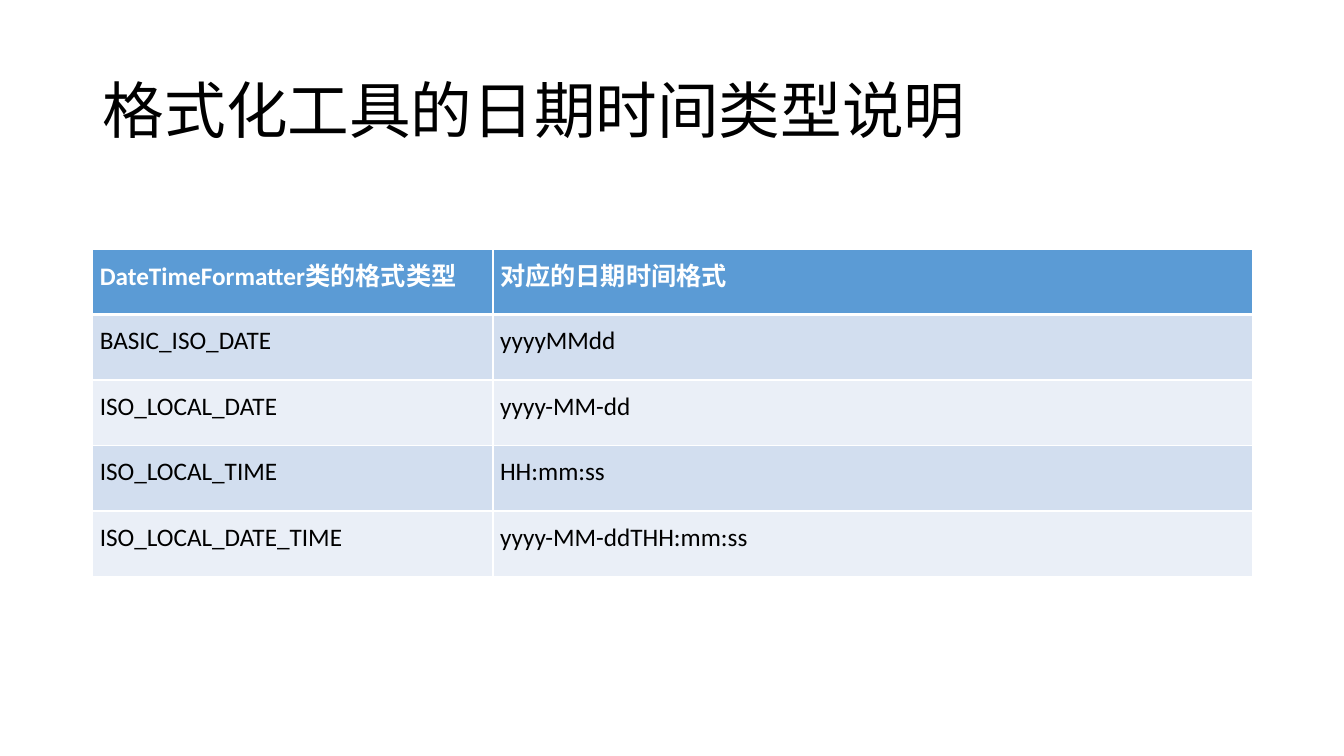
from lxml import etree
from pptx import Presentation
from pptx.dml.color import RGBColor
from pptx.enum.text import MSO_ANCHOR, PP_ALIGN
from pptx.oxml.ns import qn
from pptx.util import Inches, Pt

MIDDLE = MSO_ANCHOR.MIDDLE
LEFT, JUSTIFY = PP_ALIGN.LEFT, PP_ALIGN.JUSTIFY
FONT = "Calibri"
COLORS = {
    "text": "000000",
    "white": "FFFFFF",
    "header": "5B9BD5",
    "odd": "D2DEEF",
    "even": "EAEFF7",
}
SLIDE_WIDTH, SLIDE_HEIGHT = 13.33, 7.5
MARGIN, CONTENT_WIDTH = 0.92, 11.5
TABLE_TOP, ROW_HEIGHT = 2.47, 0.65
COLUMN_WIDTHS = (3.97, 7.53)
TITLE = "格式化工具的日期时间类型说明"
ROWS = (
    ("DateTimeFormatter类的格式类型", "对应的日期时间格式"),
    ("BASIC_ISO_DATE", "yyyyMMdd"),
    ("ISO_LOCAL_DATE", "yyyy-MM-dd"),
    ("ISO_LOCAL_TIME", "HH:mm:ss"),
    ("ISO_LOCAL_DATE_TIME", "yyyy-MM-ddTHH:mm:ss"),
)


def format_paragraph(paragraph, size, color, alignment, line_spacing, bold=False):
    """Set the font, alignment and line spacing of a paragraph."""
    paragraph.alignment = alignment
    paragraph.line_spacing = line_spacing
    paragraph.font.name = FONT
    paragraph.font.size = Pt(size)
    paragraph.font.bold = bold
    paragraph.font.color.rgb = RGBColor.from_string(COLORS[color])


def add_title(slide, text):
    """Fill and place the title placeholder."""
    title = slide.shapes.title
    title.left, title.top = Inches(MARGIN), Inches(0.4)
    title.width, title.height = Inches(CONTENT_WIDTH), Inches(1.45)
    title.text_frame.text = text
    title.text_frame.vertical_anchor = MIDDLE
    format_paragraph(title.text_frame.paragraphs[0], 44, "text", LEFT, 0.9)


def set_borders(cell, top, bottom):
    """Draw white cell borders with the given top and bottom widths in points."""
    properties = cell._tc.get_or_add_tcPr()
    for side, width in (("L", 1), ("R", 1), ("T", top), ("B", bottom)):
        line = etree.SubElement(properties, qn(f"a:ln{side}"), w=str(Pt(width)))
        fill = etree.SubElement(line, qn("a:solidFill"))
        etree.SubElement(fill, qn("a:srgbClr"), val=COLORS["white"])


def format_cell(cell, text, row_index):
    """Write a cell and style it as a header or a banded body cell."""
    is_header = row_index == 0
    cell.text = text
    cell.vertical_anchor = MIDDLE
    cell.margin_left = cell.margin_right = Inches(0.07)
    cell.margin_top = cell.margin_bottom = 0
    set_borders(cell, 3 if row_index == 1 else 1, 3 if is_header else 1)
    band = "header" if is_header else ("even", "odd")[row_index % 2]
    cell.fill.solid()
    cell.fill.fore_color.rgb = RGBColor.from_string(COLORS[band])
    paragraph = cell.text_frame.paragraphs[0]
    if is_header:
        format_paragraph(paragraph, 18, "white", JUSTIFY, Pt(15.6), bold=True)
    else:
        format_paragraph(paragraph, 18, "text", LEFT, Pt(13))


def add_format_table(slide, rows):
    """Add the table of format types and their patterns."""
    table = slide.shapes.add_table(
        len(rows), len(COLUMN_WIDTHS), Inches(MARGIN), Inches(TABLE_TOP),
        Inches(CONTENT_WIDTH), Inches(ROW_HEIGHT * len(rows)),
    ).table
    for column, width in zip(table.columns, COLUMN_WIDTHS):
        column.width = Inches(width)
    for row_index, texts in enumerate(rows):
        for column_index, text in enumerate(texts):
            format_cell(table.cell(row_index, column_index), text, row_index)


def main():
    """Build the slide and save it."""
    presentation = Presentation()
    presentation.slide_width = Inches(SLIDE_WIDTH)
    presentation.slide_height = Inches(SLIDE_HEIGHT)
    title_only = presentation.slide_layouts[5]
    slide = presentation.slides.add_slide(title_only)
    add_title(slide, TITLE)
    add_format_table(slide, ROWS)
    presentation.save("out.pptx")


main()
